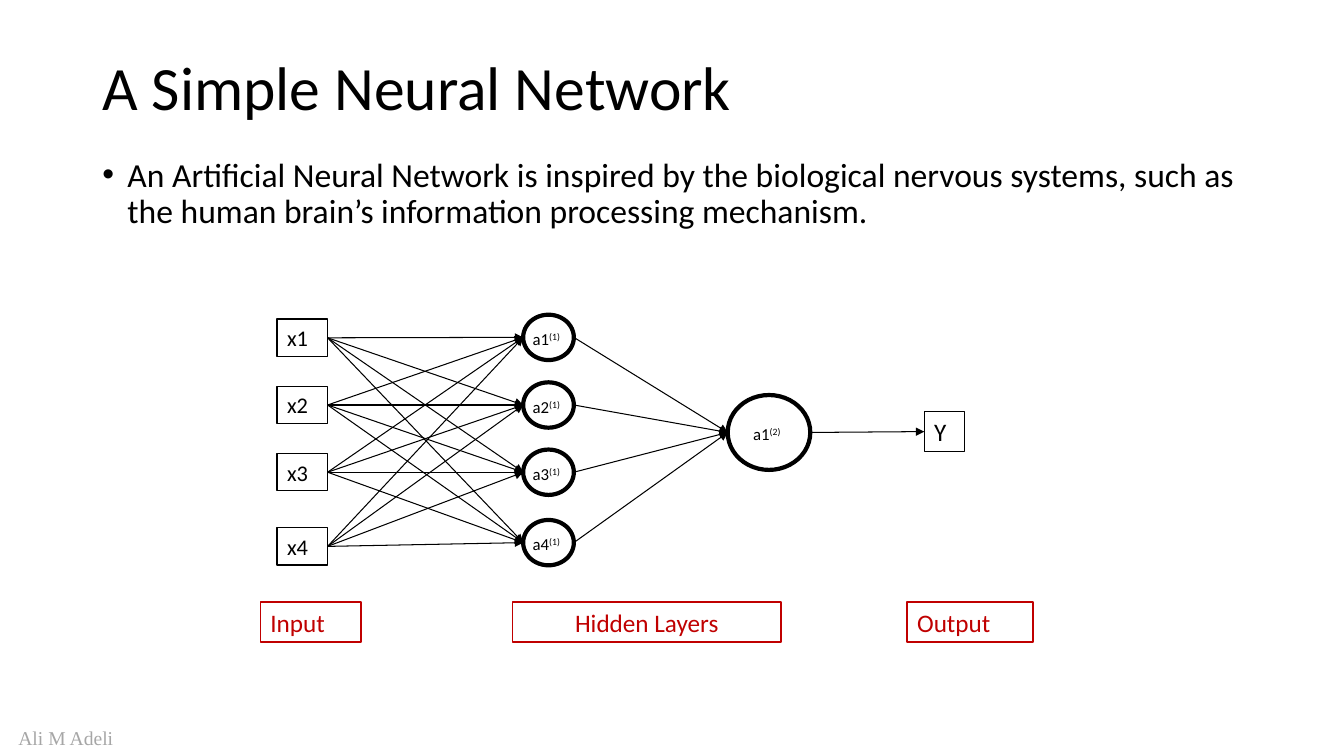
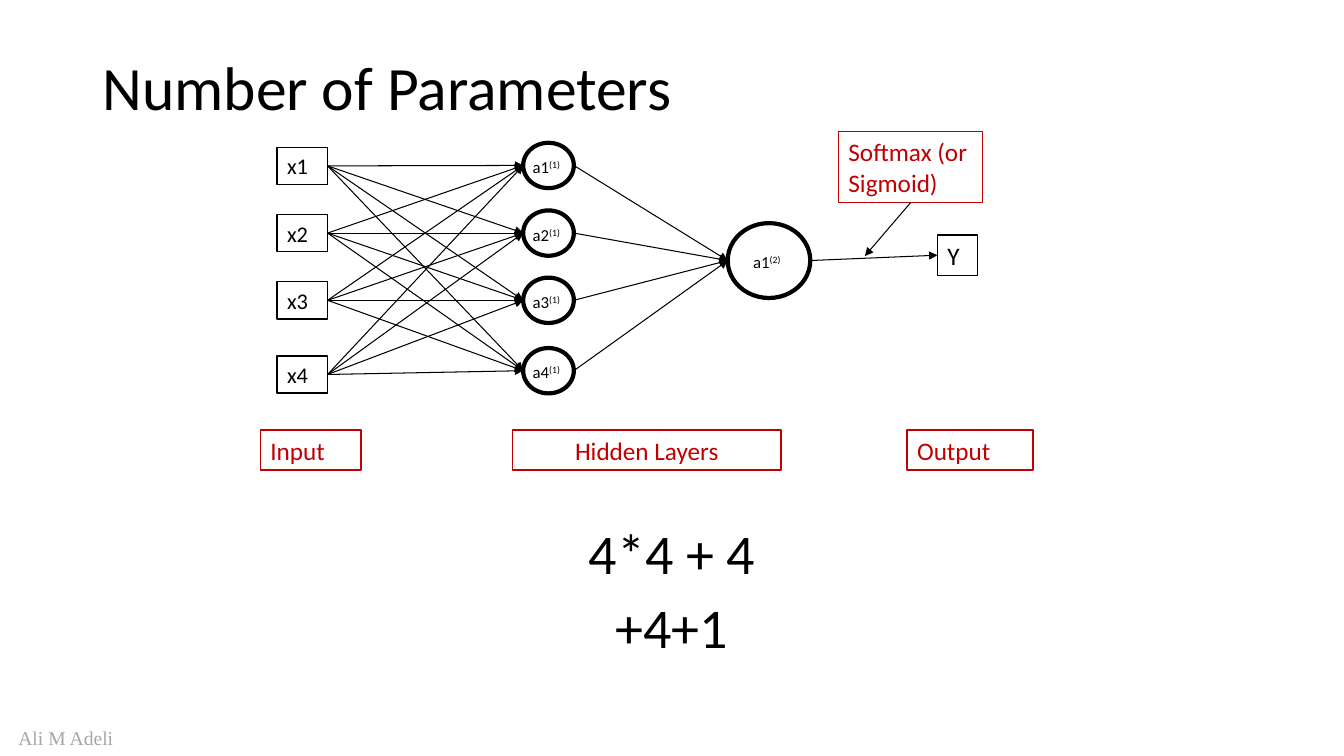
from pptx import Presentation
from pptx import util as u
from pptx.dml import color
from pptx.enum import shapes, text
from pptx.oxml import ns
from lxml import etree

Pt = u.Pt
RECT = shapes.MSO_SHAPE.RECTANGLE
OVAL = shapes.MSO_SHAPE.OVAL
LEFT, MID = text.PP_ALIGN.LEFT, text.PP_ALIGN.CENTER
TOP, HALF = text.MSO_ANCHOR.TOP, text.MSO_ANCHOR.MIDDLE
BLACK, RED, GREY = "000000", "C00000", "A6A6A6"


def rgb(code):
    return color.RGBColor.from_string(code)


def sub(node, tag, **attrs):
    return etree.SubElement(node, ns.qn(tag), attrs)


def assign(obj, vals):
    for key, val in vals.items():
        setattr(obj, key, val)


def port(shape, site):
    """Middle of a side: 0 top, 1 left, 2 bottom, 3 right."""
    dx, dy = ((1, 0), (0, 1), (1, 2), (2, 1))[site]
    return shape.left + shape.width * dx // 2, shape.top + shape.height * dy // 2


class Deck:
    def __init__(self):
        self.prs = Presentation()
        assign(self.prs, {"slide_width": Pt(960), "slide_height": Pt(540)})
        self.base = self.prs.slide_layouts[5]
        self.slide = None

    def start(self, title):
        """Add a slide with its title; the first one also fills the layout footer."""
        first = self.slide is None
        self.slide = self.prs.slides.add_slide(self.base)
        head = self.slide.shapes.title
        self.place(head, 66, 28.8, 828, 72)
        self.label(head, [title], 44, align=LEFT, anchor=HALF, line=0.9)
        if first:
            foot = self.text(["Ali M Adeli"], 6, 515, 106, 24, 14,
                             hue=GREY, face="Times New Roman")
            self.base.shapes.element.append(foot.element)

    def place(self, shape, x, y, w, h):
        assign(shape, {"left": Pt(x), "top": Pt(y), "width": Pt(w), "height": Pt(h)})

    def label(self, shape, lines, size, hue=BLACK, face="Calibri", align=LEFT,
              anchor=TOP, line=None, gap=0, mark=None):
        frame = shape.text_frame
        assign(frame, {"word_wrap": True, "vertical_anchor": anchor,
                       "auto_size": text.MSO_AUTO_SIZE.NONE})
        for i, words in enumerate(lines):
            para = frame.add_paragraph() if i else frame.paragraphs[0]
            if mark:
                props = para._p.get_or_add_pPr()
                props.set("marL", str(Pt(18)))
                props.set("indent", str(Pt(-18)))
                sub(props, "a:buFont", typeface="Arial")
                sub(props, "a:buChar", char=mark)
            assign(para, {"alignment": align, "line_spacing": line,
                          "space_before": Pt(gap if i else 0)})
            # A "^" splits off a superscript
            for j, part in enumerate(words.split("^")):
                run = para.add_run()
                run.text = part
                assign(run.font, {"size": Pt(size), "name": face})
                run.font.color.rgb = rgb(hue)
                if j:
                    run._r.get_or_add_rPr().set("baseline", "30000")

    def text(self, lines, x, y, w, h, size, **form):
        box = self.slide.shapes.add_textbox(Pt(x), Pt(y), Pt(w), Pt(h))
        self.label(box, lines, size, **form)
        return box

    def shape(self, kind, x, mid, w, h, hue, width):
        """Outlined shape, centred vertically on mid."""
        item = self.slide.shapes.add_shape(kind, Pt(x), Pt(mid - h / 2), Pt(w), Pt(h))
        item.shadow.inherit = False
        item.fill.background()
        item.line.color.rgb = rgb(hue)
        item.line.width = Pt(width)
        return item

    def box(self, words, x, mid, w, h=28.8, size=18, hue=BLACK, align=LEFT):
        item = self.shape(RECT, x, mid, w, h, hue, 1)
        self.label(item, [words], size, hue, align=align, anchor=HALF)
        return item

    def node(self, words, x, mid, w, h):
        item = self.shape(OVAL, x, mid, w, h, BLACK, 3)
        self.label(item, [words], 12, align=MID, anchor=HALF)
        assign(item.text_frame, {"word_wrap": False, "margin_left": 0, "margin_bottom": 0,
                                 "margin_right": Pt(3), "margin_top": Pt(2)})
        return item

    def arrow(self, start, end, out=3, into=1):
        """Arrow from a shape to a shape or to an (x, y) point."""
        goal = tuple(map(Pt, end)) if isinstance(end, tuple) else port(end, into)
        line = self.slide.shapes.add_connector(
            shapes.MSO_CONNECTOR.STRAIGHT, *port(start, out), *goal)
        if start.auto_shape_type == RECT:
            line.begin_connect(start, out)
        if not isinstance(end, tuple) and end.auto_shape_type == RECT:
            line.end_connect(end, into)
        line.line.color.rgb = rgb(BLACK)
        line.line.width = Pt(0.75)
        sub(line.line._get_or_add_ln(), "a:tailEnd", type="triangle")
        sub(line._element.spPr, "a:effectLst")

    def net(self, mid, out_x, drop):
        """Network whose first row is centred on mid; drop lowers the output box."""
        ins = [self.box(f"x{i}", 198, mid + dy, 36, 26.6, 16)
               for i, dy in enumerate((0, 48, 96, 149), 1)]
        hidden = [self.node(f"a{i}^(1)", 373.7, mid + dy, 36.2, 32.4)
                  for i, dy in enumerate((-0.3, 48, 96, 146.3), 1)]
        last = self.node("a1^(2)", 519.8, mid + 67.6, 59, 53.5)
        result = self.box("Y", out_x, mid + drop, 28.8)
        for unit in hidden:
            for source in ins:
                self.arrow(source, unit)
            self.arrow(unit, last)
        self.arrow(last, result)
        # Layer names
        for words, x, w, align in (("Input", 186, 72, LEFT),
                                   ("Hidden Layers", 366, 192, MID),
                                   ("Output", 648, 90, LEFT)):
            self.box(words, x, mid + 203, w, hue=RED, align=align)


def main():
    deck = Deck()

    # Network overview
    deck.start("A Simple Neural Network")
    deck.text(["An Artificial Neural Network is inspired by the biological nervous "
               "systems, such as the human brain’s information processing mechanism."],
              66, 109.5, 828, 379, 24, line=0.9, mark="•")
    deck.net(241.3, 660.2, 67)

    # Parameter count
    deck.start("Number of Parameters")
    deck.text(["4*4 + 4", "+4+1"], 66, 372.2, 828, 117, 40,
              align=MID, line=0.9, gap=10)
    deck.net(118.5, 669.6, 63.8)
    note = deck.box("Softmax (or Sigmoid)", 599, 119.2, 103, 51, hue=RED)
    deck.arrow(note, (617.8, 182.9), out=2)

    deck.prs.save("out.pptx")


if __name__ == "__main__":
    main()
